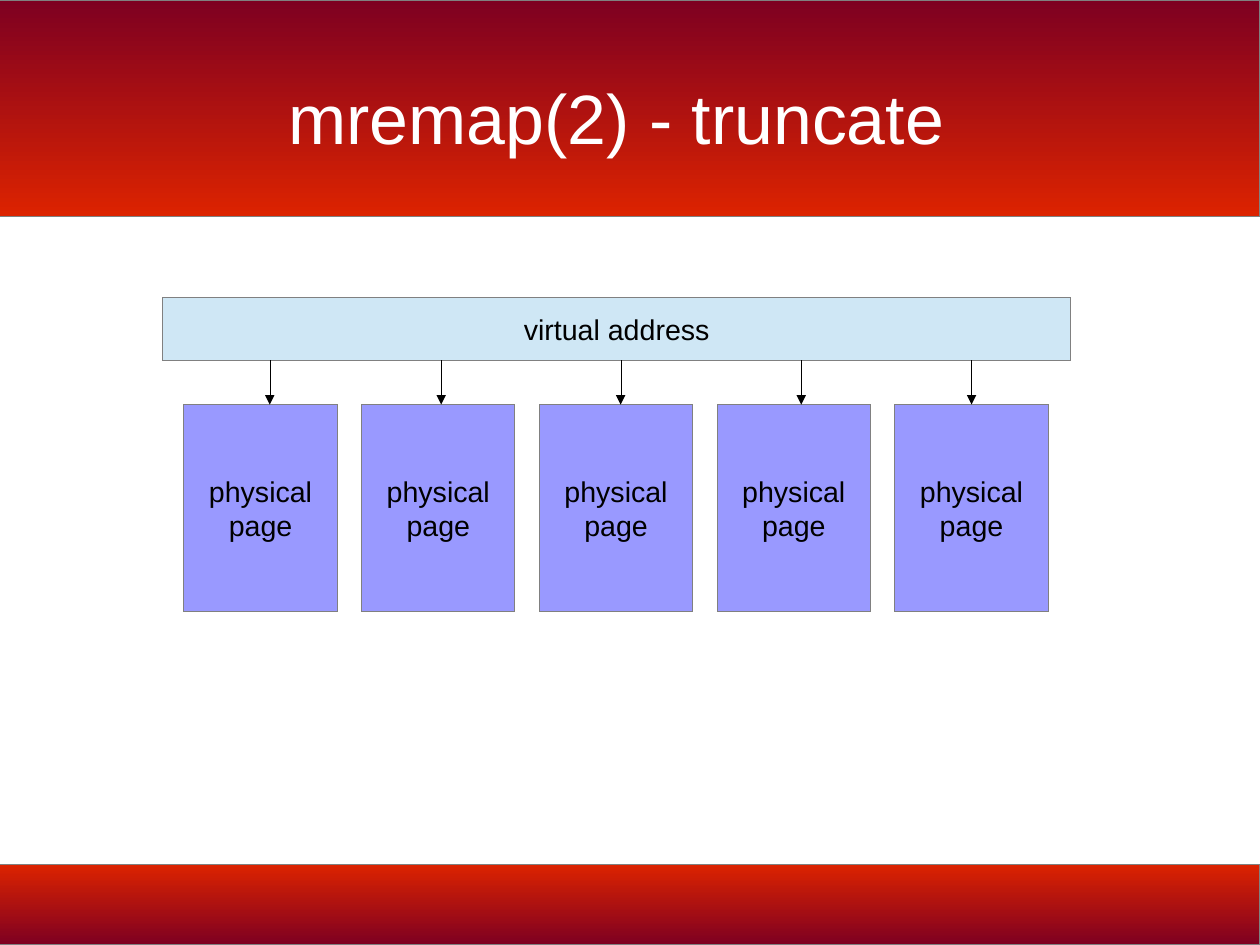
from lxml.etree import SubElement
from pptx import Presentation
from pptx.dml.color import RGBColor
from pptx.enum.shapes import MSO_CONNECTOR as Connector, MSO_SHAPE as Shape
from pptx.enum.text import MSO_ANCHOR as Anchor, PP_ALIGN as Align
from pptx.oxml.ns import qn
from pptx.util import Inches, Pt

WHITE = RGBColor(0xFF, 0xFF, 0xFF)
BLACK = RGBColor(0x00, 0x00, 0x00)
GRAY = RGBColor(0x80, 0x80, 0x80)
RED = RGBColor(0xDC, 0x23, 0x00)
MAROON = RGBColor(0x7E, 0x00, 0x21)
LIGHT_BLUE = RGBColor(0xCF, 0xE7, 0xF5)
VIOLET = RGBColor(0x99, 0x99, 0xFF)

CM_PER_INCH = 2.54
SLIDE_WIDTH, SLIDE_HEIGHT = 28 / CM_PER_INCH, 21 / CM_PER_INCH
ADDRESS_BOTTOM = 3.15
FIRST_PAGE_LEFT, LAST_PAGE_LEFT, PAGE_TOP = 1.61, 7.83, 3.54
ARROW_POSITIONS = (2.36, 3.86, 5.43, 7.01, 8.5)


def apply_format(target, values):
    for name, value in values.items():
        setattr(target, name, value)


def set_hairline(shape, color):
    shape.line.color.rgb = color
    outline = shape._element.spPr.find(qn("a:ln"))
    outline.set("w", "0")
    return outline


def write_text(shape, text, size, color, wrap, margins):
    frame = shape.text_frame
    frame.text = text
    horizontal, vertical = map(Inches, margins)
    apply_format(frame, {
        "word_wrap": wrap,
        "vertical_anchor": Anchor.MIDDLE,
        "margin_left": horizontal,
        "margin_right": horizontal,
        "margin_top": vertical,
        "margin_bottom": vertical,
    })
    for paragraph in frame.paragraphs:
        paragraph.alignment = Align.CENTER
        apply_format(paragraph.font, {"name": "Arial", "size": Pt(size)})
        paragraph.font.color.rgb = color


def add_rectangle(slide, left, top, width, height):
    shape = slide.shapes.add_shape(
        Shape.RECTANGLE, Inches(left), Inches(top), Inches(width), Inches(height))
    shape.shadow.inherit = False
    set_hairline(shape, GRAY)
    return shape


def add_band(slide, top, height, colors):
    band = add_rectangle(slide, 0, top, SLIDE_WIDTH, height)
    band.fill.gradient()
    band.fill.gradient_angle = 270
    for stop, color in zip(band.fill.gradient_stops, colors):
        stop.color.rgb = color


def add_title(slide, text):
    title = slide.shapes.add_textbox(
        Inches(0.55), Inches(0.33), Inches(9.69), Inches(1.38))
    write_text(title, text, 44, WHITE, True, (0, 0))


def add_box(slide, left, top, width, height, text, color):
    box = add_rectangle(slide, left, top, width, height)
    box.fill.solid()
    box.fill.fore_color.rgb = color
    write_text(box, text, 18, BLACK, False, (0.1, 0.05))
    return box


def add_arrow(slide, x, top, bottom):
    arrow = slide.shapes.add_connector(
        Connector.STRAIGHT, Inches(x), Inches(top), Inches(x), Inches(bottom))
    SubElement(set_hairline(arrow, BLACK), qn("a:tailEnd"), type="triangle")
    SubElement(arrow._element.spPr, qn("a:effectLst"))
    return arrow


def main():
    presentation = Presentation()
    presentation.slide_width = Inches(SLIDE_WIDTH)
    presentation.slide_height = Inches(SLIDE_HEIGHT)
    slide = presentation.slides.add_slide(presentation.slide_layouts[6])

    add_band(slide, 7.56, SLIDE_HEIGHT - 7.56, (RED, MAROON))
    add_band(slide, 0, 1.89, (MAROON, RED))
    add_title(slide, "mremap(2) - truncate")
    add_box(slide, 1.42, 2.6, 7.95, 0.55, "virtual address", LIGHT_BLUE)

    page_step = (LAST_PAGE_LEFT - FIRST_PAGE_LEFT) / (len(ARROW_POSITIONS) - 1)
    pages = [
        add_box(slide, FIRST_PAGE_LEFT + index * page_step, PAGE_TOP, 1.34, 1.81,
                "physical\npage", VIOLET)
        for index in range(len(ARROW_POSITIONS))
    ]
    arrows = [add_arrow(slide, x, ADDRESS_BOTTOM, PAGE_TOP) for x in ARROW_POSITIONS]
    arrows[-1].end_connect(pages[-1], 0)

    presentation.save("out.pptx")


if __name__ == "__main__":
    main()
